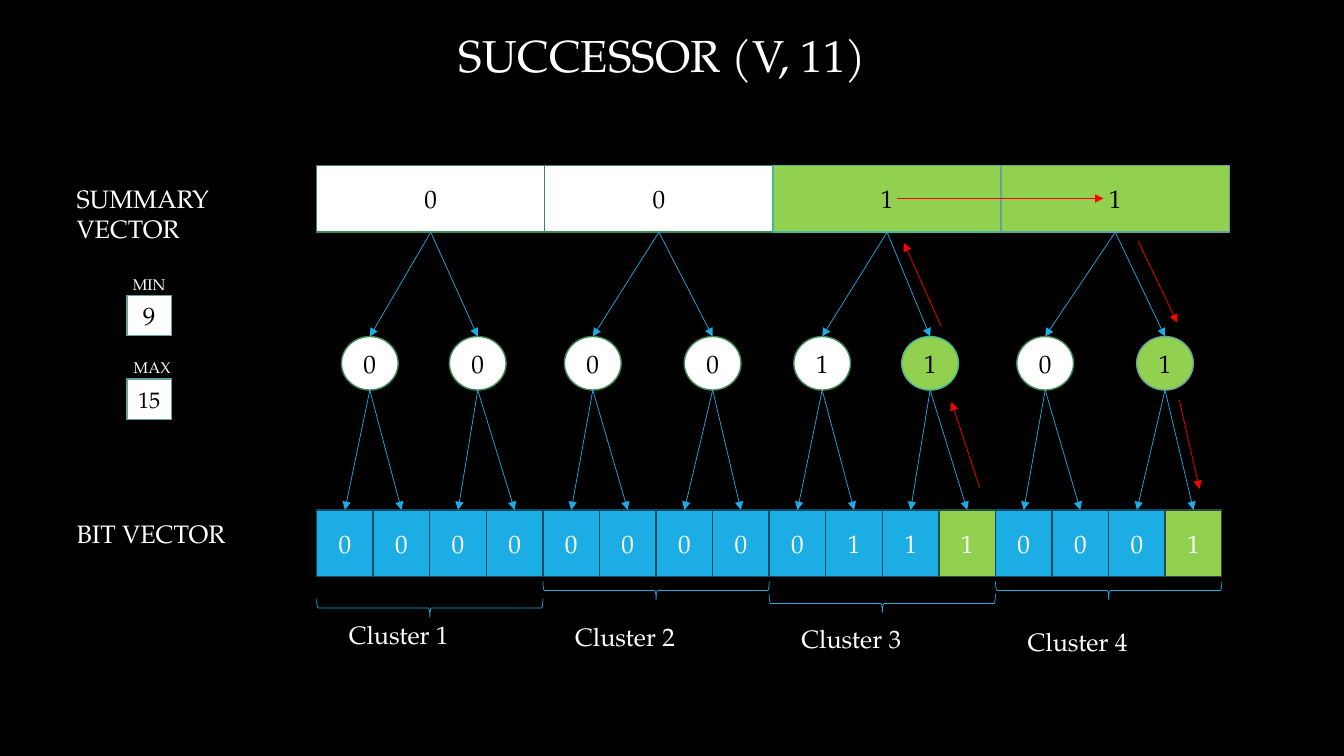
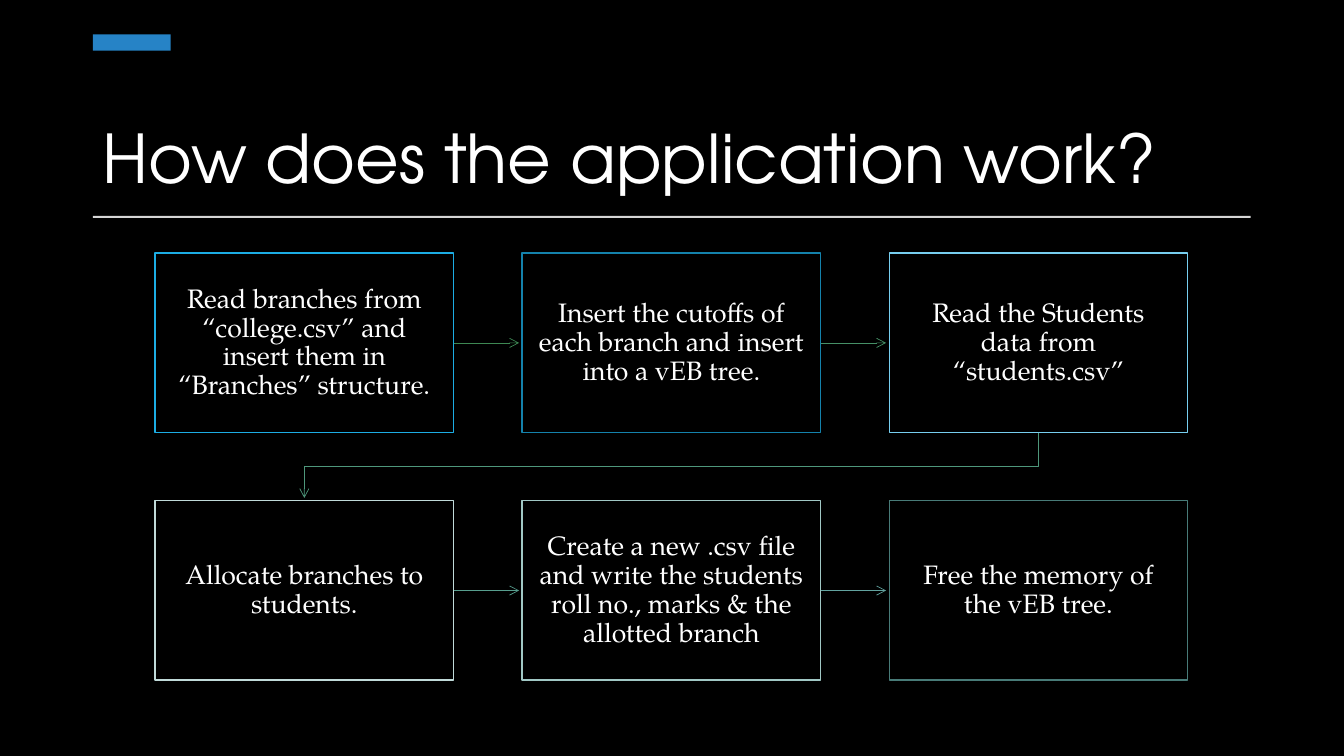
from lxml.etree import SubElement
from pptx import Presentation
from pptx.dml.color import RGBColor
from pptx.enum.shapes import MSO_CONNECTOR, MSO_SHAPE
from pptx.enum.text import MSO_ANCHOR, MSO_AUTO_SIZE, PP_ALIGN
from pptx.oxml.ns import qn
from pptx.util import Cm, Pt

BLACK = RGBColor(0x00, 0x00, 0x00)
WHITE = RGBColor(0xFF, 0xFF, 0xFF)
SKY = RGBColor(0x1C, 0xAD, 0xE4)
NAVY = RGBColor(0x0C, 0x4C, 0x64)
LIME = RGBColor(0x92, 0xD0, 0x50)
GREEN = RGBColor(0x3E, 0x88, 0x53)
MINT = RGBColor(0x42, 0xBA, 0x97)
TEAL = RGBColor(0x62, 0xA3, 0x9F)
PINE = RGBColor(0x1D, 0x52, 0x42)
MOSS = RGBColor(0x2B, 0x47, 0x46)
RED = RGBColor(0xFF, 0x00, 0x00)
BLUE = RGBColor(0x26, 0x83, 0xC6)
SILVER = RGBColor(0xD5, 0xD5, 0xD5)
OCEAN = RGBColor(0x14, 0x82, 0xAC)
PALE_SKY = RGBColor(0x77, 0xCE, 0xEF)
MIST = RGBColor(0xC0, 0xDA, 0xD9)
SAGE = RGBColor(0xA1, 0xC8, 0xC5)
SLATE = RGBColor(0x48, 0x7B, 0x78)
FERN = RGBColor(0x46, 0x90, 0x67)
JADE = RGBColor(0x4E, 0x97, 0x7B)
SEA = RGBColor(0x57, 0x9E, 0x8E)

SERIF = "TeX Gyre Pagella"
SANS = "TeX Gyre Adventor"

BITS = [0, 0, 0, 0, 0, 0, 0, 0, 0, 1, 1, 1, 0, 0, 0, 1]
VISITED_BITS = {11: (PINE, MINT), 15: (MOSS, TEAL)}
CLUSTERS = [
    ("Cluster 1", 15.47, 15.32),
    ("Cluster 2", 15.52, 14.88),
    ("Cluster 3", 15.57, 15.21),
    ("Cluster 4", 15.65, 14.88),
]
CAPTIONS = [
    ("SUMMARY VECTOR", 1.68, 4.5, 5.79, 18),
    ("BIT VECTOR", 1.68, 12.93, 5.79, 18),
    ("MIN", 3.1, 6.81, 1.8, 11),
    ("MAX", 3.12, 8.89, 1.8, 11),
]
EXTREMES = [("9", 7.44, 18), ("15", 9.55, 16)]
SEARCH_STEPS = [
    ((24.69, 12.29), (23.98, 10.13)),
    ((23.72, 8.23), (22.78, 6.12)),
    ((22.61, 5), (27.81, 5)),
    ((28.68, 6.07), (29.67, 8.13)),
    ((29.72, 10.08), (30.23, 12.32)),
]
STEPS = [
    ("Read branches from “college.csv” and insert them in “Branches” structure.", SKY, GREEN),
    ("Insert the cutoffs of each branch and insert into a vEB tree.", OCEAN, FERN),
    ("Read the Students data from “students.csv”", PALE_SKY, JADE),
    ("Allocate branches to students.", MIST, SEA),
    ("Create a new .csv file and write the students roll no., marks & the allotted branch",
     SAGE, TEAL),
    ("Free the memory of the vEB tree.", SLATE, None),
]

ROW_LEFT, ROW_HEIGHT = 7.98, 1.68
BIT_TOP, BIT_WIDTH = 12.85, 22.81 / len(BITS)
SUMMARY_TOP, SUMMARY_WIDTH = 4.17, 5.75
NODE_TOP, NODE_WIDTH, NODE_HEIGHT = 8.48, 1.43, 1.35
NODE_CENTRES = [x + shift for shift in (0, 11.4) for x in (9.32, 12.04, 14.94, 17.96)]
STEP_LEFT, STEP_TOP, STEP_WIDTH, STEP_HEIGHT = 3.91, 6.38, 7.52, 4.52
STEP_PITCH_X, STEP_PITCH_Y, STEP_COLUMNS = 9.25, 6.24, 3
STEP_ARROW = 1.65


def write(shape, text, size, color=WHITE, font=SERIF, align=PP_ALIGN.CENTER,
          spacing=1.0, **frame_format):
    frame = shape.text_frame
    frame.text = text
    defaults = {"word_wrap": True, "auto_size": MSO_AUTO_SIZE.NONE}
    for key, value in (defaults | frame_format).items():
        setattr(frame, key, value)
    paragraph = frame.paragraphs[0]
    paragraph.alignment = align
    paragraph.line_spacing = spacing
    for key, value in {"name": font, "size": Pt(size)}.items():
        setattr(paragraph.runs[0].font, key, value)
    paragraph.runs[0].font.color.rgb = color


def set_line(shape, color, width, arrowhead=None):
    shape.line.color.rgb = color
    shape.line.width = Pt(width)
    if arrowhead:
        outline = shape.element.spPr.find(qn("a:ln"))
        SubElement(outline, qn("a:tailEnd"), type=arrowhead)


def add_box(slide, kind, box, fill=None, line=None, width=1):
    shape = slide.shapes.add_shape(kind, *map(Cm, box))
    shape.shadow.inherit = False
    if fill is None:
        shape.fill.background()
    else:
        shape.fill.solid()
        shape.fill.fore_color.rgb = fill
    if line is None:
        shape.line.fill.background()
    else:
        set_line(shape, line, width)
    return shape


def add_value(slide, kind, box, value, fill, line, color=BLACK, size=18):
    margins = {f"margin_{side}": 0 for side in ("left", "right", "top", "bottom")}
    write(add_box(slide, kind, box, fill, line), str(value), size, color,
          vertical_anchor=MSO_ANCHOR.MIDDLE, **margins)


def add_caption(slide, text, left, top, width, size):
    caption = slide.shapes.add_textbox(Cm(left), Cm(top), Cm(width), Cm(1.02))
    write(caption, text, size, align=PP_ALIGN.LEFT)


def add_arrow(slide, start, end, color, arrowhead="triangle"):
    arrow = slide.shapes.add_connector(MSO_CONNECTOR.STRAIGHT, *map(Cm, (*start, *end)))
    set_line(arrow, color, 0.5, arrowhead)
    SubElement(arrow.element.spPr, qn("a:effectLst"))


def add_titled_slide(prs, text, box, size, **style):
    slide = prs.slides.add_slide(prs.slide_layouts[5])
    title = slide.shapes.title
    for key, value in zip(("left", "top", "width", "height"), box):
        setattr(title, key, Cm(value))
    write(title, text, size, **style)
    return slide


def build_successor(prs):
    slide = add_titled_slide(prs, "SUCCESSOR (V, 11)", (1.45, 0.56, 30.5, 1.63), 32,
                             vertical_anchor=MSO_ANCHOR.TOP)
    nodes = [max(BITS[i:i + 2]) for i in range(0, len(BITS), 2)]
    summary = [max(nodes[i:i + 2]) for i in range(0, len(nodes), 2)]
    visited_nodes = {bit // 2: line for bit, (_, line) in VISITED_BITS.items()}
    visited_summary = {bit // 4: line for bit, (_, line) in VISITED_BITS.items()}
    bit_centres = [ROW_LEFT + (i + 0.5) * BIT_WIDTH for i in range(len(BITS))]
    summary_centres = [ROW_LEFT + (i + 0.5) * SUMMARY_WIDTH for i in range(len(summary))]

    for i, bit in enumerate(BITS):
        box = (ROW_LEFT + i * BIT_WIDTH, BIT_TOP, BIT_WIDTH, ROW_HEIGHT)
        fill, line = (LIME, VISITED_BITS[i][0]) if i in VISITED_BITS else (SKY, NAVY)
        add_value(slide, MSO_SHAPE.RECTANGLE, box, bit, fill, line, WHITE)

    levels = [
        (MSO_SHAPE.RECTANGLE, summary, summary_centres, visited_summary,
         SUMMARY_TOP, SUMMARY_WIDTH, ROW_HEIGHT, NODE_CENTRES, NODE_TOP),
        (MSO_SHAPE.OVAL, nodes, NODE_CENTRES, visited_nodes,
         NODE_TOP, NODE_WIDTH, NODE_HEIGHT, bit_centres, BIT_TOP),
    ]
    for kind, values, centres, visited, top, width, height, children, child_top in levels:
        for i, (value, centre) in enumerate(zip(values, centres)):
            fill = LIME if i in visited else WHITE
            add_value(slide, kind, (centre - width / 2, top, width, height), value,
                      fill, visited.get(i, GREEN))
            for child in children[2 * i:2 * i + 2]:
                add_arrow(slide, (centre, top + height), (child, child_top), SKY)

    cluster_width = 4 * BIT_WIDTH
    brace_depth = 0.46
    for i, (label, label_top, brace_middle) in enumerate(CLUSTERS):
        left = ROW_LEFT + i * cluster_width
        box = (left + (cluster_width - brace_depth) / 2, brace_middle - cluster_width / 2,
               brace_depth, cluster_width)
        brace = add_box(slide, MSO_SHAPE.RIGHT_BRACE, box, line=SKY, width=0.5)
        brace.rotation = 90
        brace.adjustments[0] = 0.08
        brace.adjustments[1] = 0.5
        add_caption(slide, label, left + 0.56, label_top, 4.62, 18)

    for caption in CAPTIONS:
        add_caption(slide, *caption)
    for value, top, size in EXTREMES:
        add_value(slide, MSO_SHAPE.RECTANGLE, (3.2, top, 1.12, 1.02), value, WHITE, TEAL,
                  size=size)
    for start, end in SEARCH_STEPS:
        add_arrow(slide, start, end, RED)


def add_row_turn(slide, start, end, turn_y, color):
    points = [start, (start[0], turn_y), (end[0], turn_y), end]
    corners = [(Cm(x), Cm(y)) for x, y in points]
    builder = slide.shapes.build_freeform(*corners[0])
    builder.add_line_segments(corners[1:], close=False)
    turn = builder.convert_to_shape()
    turn.shadow.inherit = False
    turn.fill.background()
    set_line(turn, color, 0.5, "arrow")


def build_application(prs):
    slide = add_titled_slide(prs, "How does the application work?", (2.34, 1.9, 29.18, 3.23),
                             48, font=SANS, align=PP_ALIGN.LEFT, spacing=0.9,
                             vertical_anchor=MSO_ANCHOR.BOTTOM)
    add_box(slide, MSO_SHAPE.RECTANGLE, (2.34, 0.87, 1.96, 0.41), BLUE)
    add_box(slide, MSO_SHAPE.RECTANGLE, (2.34, 5.44, 29.18, 0.05), SILVER)
    margins = {f"margin_{side}": Cm(0.38) for side in ("left", "right", "top", "bottom")}
    for i, (text, outline, arrow) in enumerate(STEPS):
        row, column = divmod(i, STEP_COLUMNS)
        left = STEP_LEFT + column * STEP_PITCH_X
        top = STEP_TOP + row * STEP_PITCH_Y
        step = add_box(slide, MSO_SHAPE.RECTANGLE, (left, top, STEP_WIDTH, STEP_HEIGHT),
                       line=outline)
        write(step, text, 19, spacing=0.9, vertical_anchor=MSO_ANCHOR.MIDDLE, **margins)
        if arrow is None:
            continue
        if column < STEP_COLUMNS - 1:
            right, middle = left + STEP_WIDTH, top + STEP_HEIGHT / 2
            add_arrow(slide, (right, middle), (right + STEP_ARROW, middle), arrow, "arrow")
        else:
            bottom = top + STEP_HEIGHT
            add_row_turn(slide, (left + STEP_WIDTH / 2, bottom),
                         (STEP_LEFT + STEP_WIDTH / 2, bottom + STEP_ARROW),
                         bottom + (STEP_PITCH_Y - STEP_HEIGHT) / 2, arrow)


def main():
    prs = Presentation()
    prs.slide_width, prs.slide_height = Cm(33.87), Cm(19.05)
    backdrop = prs.slide_master.background.fill
    backdrop.solid()
    backdrop.fore_color.rgb = BLACK
    build_successor(prs)
    build_application(prs)
    prs.save("out.pptx")


if __name__ == "__main__":
    main()
